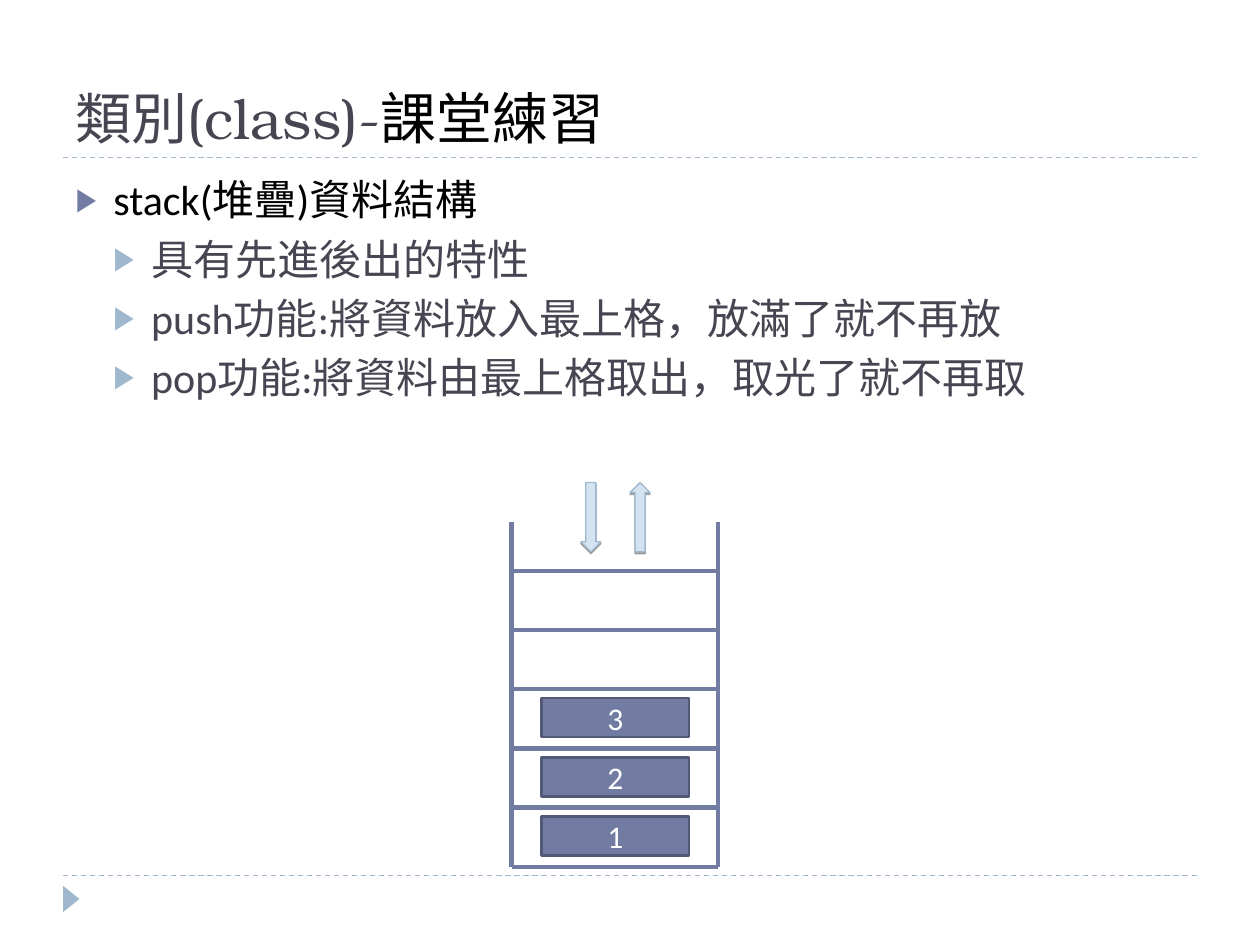
from dataclasses import dataclass

from lxml import etree
from pptx import Presentation
from pptx.dml.color import RGBColor
from pptx.enum import dml, shapes, text
from pptx.oxml import ns
from pptx.util import Inches, Pt


@dataclass(frozen=True)
class Theme:
    """Colours, fonts and type sizes of the slide."""
    ink: str = "464653"
    black: str = "000000"
    white: str = "FFFFFF"
    indigo: str = "727CA3"
    indigo_dark: str = "525977"
    sky: str = "9FB8CD"
    sky_light: str = "D3E3F2"
    title_font: str = "TeX Gyre Bonum"
    body_font: str = "Calibri"
    title_size: int = 32
    body_size: int = 24
    block_size: int = 18


def rgb(value):
    """Turn a hex string into a colour."""
    return RGBColor.from_string(value)


def add_xml(parent, tag, **attributes):
    """Append a DrawingML element to its parent."""
    attributes = {name: str(value) for name, value in attributes.items()}
    return etree.SubElement(parent, ns.qn(tag), attributes)


class SlideBuilder:
    """Draws styled elements on one slide."""

    def __init__(self, slide, theme):
        """Keep the slide and its style."""
        self.s, self.theme = slide, theme

    def frame(self, sp, left, top, width, height, anchor):
        """Place a placeholder and return its text frame."""
        sp.left, sp.top = Inches(left), Inches(top)
        sp.width, sp.height = Inches(width), Inches(height)
        tf = sp.text_frame
        tf.auto_size = text.MSO_AUTO_SIZE.NONE
        tf.word_wrap = True
        tf.vertical_anchor = anchor
        return tf

    def run(self, p, words, font, size, color):
        """Add one formatted run to a paragraph."""
        r = p.add_run()
        r.text = words
        r.font.name, r.font.size = font, Pt(size)
        r.font.color.rgb = rgb(color)

    def title(self, parts):
        """Fill the title with (words, colour) parts."""
        tf = self.frame(self.s.shapes.title, 0.5, 0.17, 9, 1.08, text.MSO_ANCHOR.BOTTOM)
        p = tf.paragraphs[0]
        p.alignment = text.PP_ALIGN.LEFT
        for words, color in parts:
            self.run(p, words, self.theme.title_font, self.theme.title_size, color)

    def bullets(self, items):
        """Fill the body with (level, words) items."""
        t = self.theme
        styles = [(t.indigo, t.black, 6), (t.sky, t.ink, 5)]
        tf = self.frame(self.s.placeholders[1], 0.5, 1.33, 9, 5.4, text.MSO_ANCHOR.TOP)
        for i, (level, words) in enumerate(items):
            bullet_color, color, space = styles[level]
            p = tf.add_paragraph() if i else tf.paragraphs[0]
            p.level = level
            pPr = p._p.get_or_add_pPr()
            pPr.set("marL", str(Inches(0.3 * (level + 1))))
            pPr.set("indent", str(Inches(-0.3)))
            add_xml(add_xml(pPr, "a:buClr"), "a:srgbClr", val=bullet_color)
            add_xml(pPr, "a:buSzPct", val=76000)
            add_xml(pPr, "a:buChar", char="▶")
            p.space_before = Pt(space if i else 0)
            self.run(p, words, t.body_font, t.body_size, color)

    def line(self, start, end, color, width, dash=None):
        """Draw a straight line between two points."""
        sp = self.s.shapes.add_connector(
            shapes.MSO_CONNECTOR.STRAIGHT, *map(Inches, start + end))
        sp.line.color.rgb, sp.line.width = rgb(color), Pt(width)
        if dash:
            sp.line.dash_style = dash
        add_xml(sp._element.spPr, "a:effectLst")

    def shape(self, kind, box, fill, outline=None, width=0.75, rotation=0):
        """Draw a flat preset shape."""
        sp = self.s.shapes.add_shape(kind, *map(Inches, box))
        sp.shadow.inherit = False
        sp.rotation = rotation
        sp.fill.solid()
        sp.fill.fore_color.rgb = rgb(fill)
        if outline:
            sp.line.color.rgb, sp.line.width = rgb(outline), Pt(width)
        else:
            sp.line.fill.background()
        return sp

    def arrow(self, left, rotation):
        """Draw a block arrow with a thin shadow."""
        sp = self.shape(shapes.MSO_SHAPE.DOWN_ARROW, (left, 3.83, 0.16, 0.55),
                        self.theme.sky_light, self.theme.sky, rotation=rotation)
        effects = sp._element.spPr.find(ns.qn("a:effectLst"))
        shadow = add_xml(effects, "a:outerShdw", blurRad=0, dist=Pt(1),
                         dir=5400000, rotWithShape=0)
        add_xml(add_xml(shadow, "a:srgbClr", val=self.theme.black), "a:alpha", val=40000)

    def block(self, top, label):
        """Draw a labelled stack entry."""
        t = self.theme
        sp = self.shape(shapes.MSO_SHAPE.RECTANGLE, (4.3, top, 1.17, 0.31),
                        t.indigo, t.indigo_dark, 1.5)
        tf = sp.text_frame
        tf.vertical_anchor = text.MSO_ANCHOR.MIDDLE
        p = tf.paragraphs[0]
        p.alignment = text.PP_ALIGN.CENTER
        self.run(p, label, t.body_font, t.block_size, t.white)

    def stack(self, labels, slots):
        """Draw the open container, its slots and its entries."""
        left, right, top, floor, pitch = 4.06, 5.7, 4.14, 6.88, 0.47
        color = self.theme.indigo
        for x in (left, right):
            self.line((x, top), (x, floor), color, 2.5)
        for i in range(slots + 1):
            y = floor - i * pitch
            self.line((left, y), (right, y), color, 2.5)
        for i, label in enumerate(labels):
            self.block(floor - 0.4 - i * pitch, label)


def main():
    """Build and save the slide."""
    prs = Presentation()
    prs.slide_width, prs.slide_height = Inches(10), Inches(7.5)
    theme = Theme()
    page = SlideBuilder(prs.slides.add_slide(prs.slide_layouts[1]), theme)
    for y in (6.95, 1.25):
        page.line((0.5, y), (9.5, y), theme.sky, 0.75, dml.MSO_LINE.DASH)
    page.shape(shapes.MSO_SHAPE.ISOSCELES_TRIANGLE, (0.46, 7.07, 0.21, 0.13),
               theme.sky, rotation=90)
    page.title([("類別(class)-", theme.ink), ("課堂練習", theme.black)])
    page.bullets([
        (0, "stack(堆疊)資料結構"),
        (1, "具有先進後出的特性"),
        (1, "push功能:將資料放入最上格，放滿了就不再放"),
        (1, "pop功能:將資料由最上格取出，取光了就不再取"),
    ])
    page.stack(["1", "2", "3"], slots=5)
    page.arrow(4.61, 0)
    page.arrow(5, 180)
    prs.save("out.pptx")


if __name__ == "__main__":
    main()
